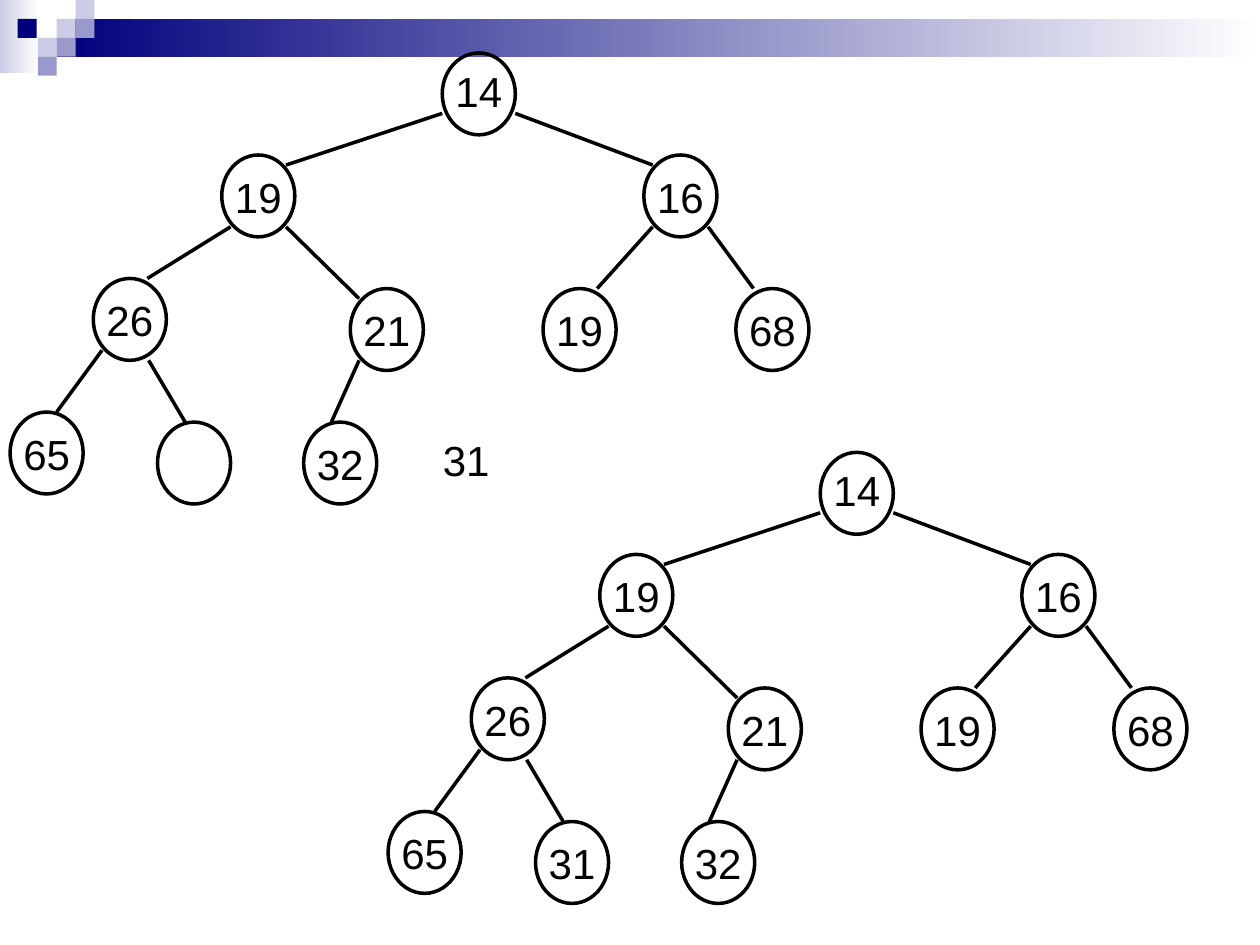
from dataclasses import dataclass

from pptx import Presentation
from pptx import util as u
from pptx.dml.color import RGBColor
from pptx.enum import shapes, text
from pptx.oxml import xmlchemy as xml
from pptx.util import Inches


@dataclass(frozen=True)
class Theme:
    """Colours, type and line sizes of the slide."""
    ink: RGBColor = RGBColor(0x00, 0x00, 0x00)
    white: RGBColor = RGBColor(0xFF, 0xFF, 0xFF)
    navy: RGBColor = RGBColor(0x00, 0x00, 0x7D)
    lilac: RGBColor = RGBColor(0x99, 0x99, 0xCC)
    pale: RGBColor = RGBColor(0xCC, 0xCC, 0xE6)
    font: str = "Arial"
    size: u.Length = u.Pt(24)
    space_before: u.Length = u.Pt(15)
    stroke: u.Length = u.Pt(2)


THEME = Theme()
NODE_WIDTH, NODE_HEIGHT = 0.58, 0.65
LABEL_HEIGHT = 0.5
TILE = 0.15

BANDS = [(0, 0, 0.31, 0.58, THEME.pale), (0.45, 0.15, 9.55, 0.3, THEME.navy)]
TILES = [
    (0.45, 0.15, THEME.pale), (0.6, 0, THEME.pale), (0.6, 0.15, THEME.lilac),
    (0.3, 0.3, THEME.pale), (0.14, 0.15, THEME.navy),
    (0.45, 0.3, THEME.lilac), (0.3, 0.45, THEME.lilac),
]
NODES = [
    (3.51, 0.42, "14"), (1.76, 1.23, "19"), (5.11, 1.23, "16"),
    (0.74, 2.21, "26"), (2.78, 2.29, "21"), (4.31, 2.29, "19"),
    (5.84, 2.29, "68"), (0.08, 3.27, "65"), (1.25, 3.35, "31"),
    (2.41, 3.35, "32"),
]
EDGES = [
    (3.51, 0.9, 2.27, 1.31), (4.09, 0.9, 5.18, 1.31),
    (1.83, 1.8, 1.17, 2.21), (2.27, 1.8, 2.85, 2.37),
    (5.18, 1.8, 4.74, 2.29), (5.62, 1.8, 5.98, 2.29),
    (0.81, 2.78, 0.45, 3.27), (1.18, 2.86, 1.47, 3.35),
    (2.85, 2.86, 2.63, 3.35),
]


def add_block(slide, left, top, width, height):
    """Add a borderless rectangle and return its fill."""
    block = slide.shapes.add_shape(
        shapes.MSO_SHAPE.RECTANGLE,
        Inches(left), Inches(top), Inches(width), Inches(height))
    block.shadow.inherit = False
    block.line.fill.background()
    return block.fill


def add_header(slide):
    """Draw the fading bands and the small tiles at the top."""
    for left, top, width, height, colour in BANDS:
        fade = add_block(slide, left, top, width, height)
        fade.gradient()
        fade.gradient_angle = 0
        for stop, stop_colour in zip(fade.gradient_stops, (colour, THEME.white)):
            stop.color.rgb = stop_colour
    for left, top, colour in TILES:
        tile = add_block(slide, left, top, TILE, TILE)
        tile.solid()
        tile.fore_color.rgb = colour


def add_label(slide, left, top, value):
    """Write one centred key."""
    label = slide.shapes.add_textbox(
        Inches(left), Inches(top), Inches(NODE_WIDTH), Inches(LABEL_HEIGHT))
    frame = label.text_frame
    frame.word_wrap = True
    frame.auto_size = text.MSO_AUTO_SIZE.SHAPE_TO_FIT_TEXT
    frame.text = value
    key = frame.paragraphs[0]
    key.alignment = text.PP_ALIGN.CENTER
    key.space_before = THEME.space_before
    font = key.runs[0].font
    font.name, font.size = THEME.font, THEME.size
    font.color.rgb = THEME.ink


def add_node(slide, left, top):
    """Draw the outline of one tree node."""
    node = slide.shapes.add_shape(
        shapes.MSO_SHAPE.OVAL,
        Inches(left), Inches(top), Inches(NODE_WIDTH), Inches(NODE_HEIGHT))
    node.shadow.inherit = False
    node.fill.background()
    node.line.color.rgb = THEME.ink
    node.line.width = THEME.stroke


def add_edge(slide, x1, y1, x2, y2):
    """Draw one branch from parent to child."""
    edge = slide.shapes.add_connector(
        shapes.MSO_CONNECTOR.STRAIGHT,
        Inches(x1), Inches(y1), Inches(x2), Inches(y2))
    edge.line.color.rgb = THEME.ink
    edge.line.width = THEME.stroke
    edge._element.spPr.append(xml.OxmlElement("a:effectLst"))


def add_heap(slide, dx, dy, hole=None):
    """Draw the heap shifted by dx and dy, with the hole node left blank."""
    for x1, y1, x2, y2 in EDGES:
        add_edge(slide, x1 + dx, y1 + dy, x2 + dx, y2 + dy)
    for index, (left, top, value) in enumerate(NODES):
        if value != hole:
            drop = 0.08 if index else 0.05
            add_label(slide, left + dx, top + dy + drop, value)
        add_node(slide, left + dx, top + dy)


def main():
    """Build the slide and save it."""
    deck = Presentation()
    deck.slide_width, deck.slide_height = Inches(10), Inches(7.5)
    slide = deck.slides.add_slide(deck.slide_layouts[6])
    add_header(slide)
    add_heap(slide, 0, 0, hole="31")
    add_label(slide, 3.41, 3.4, "31")
    add_heap(slide, 3, 3.17)
    deck.save("out.pptx")


if __name__ == "__main__":
    main()
